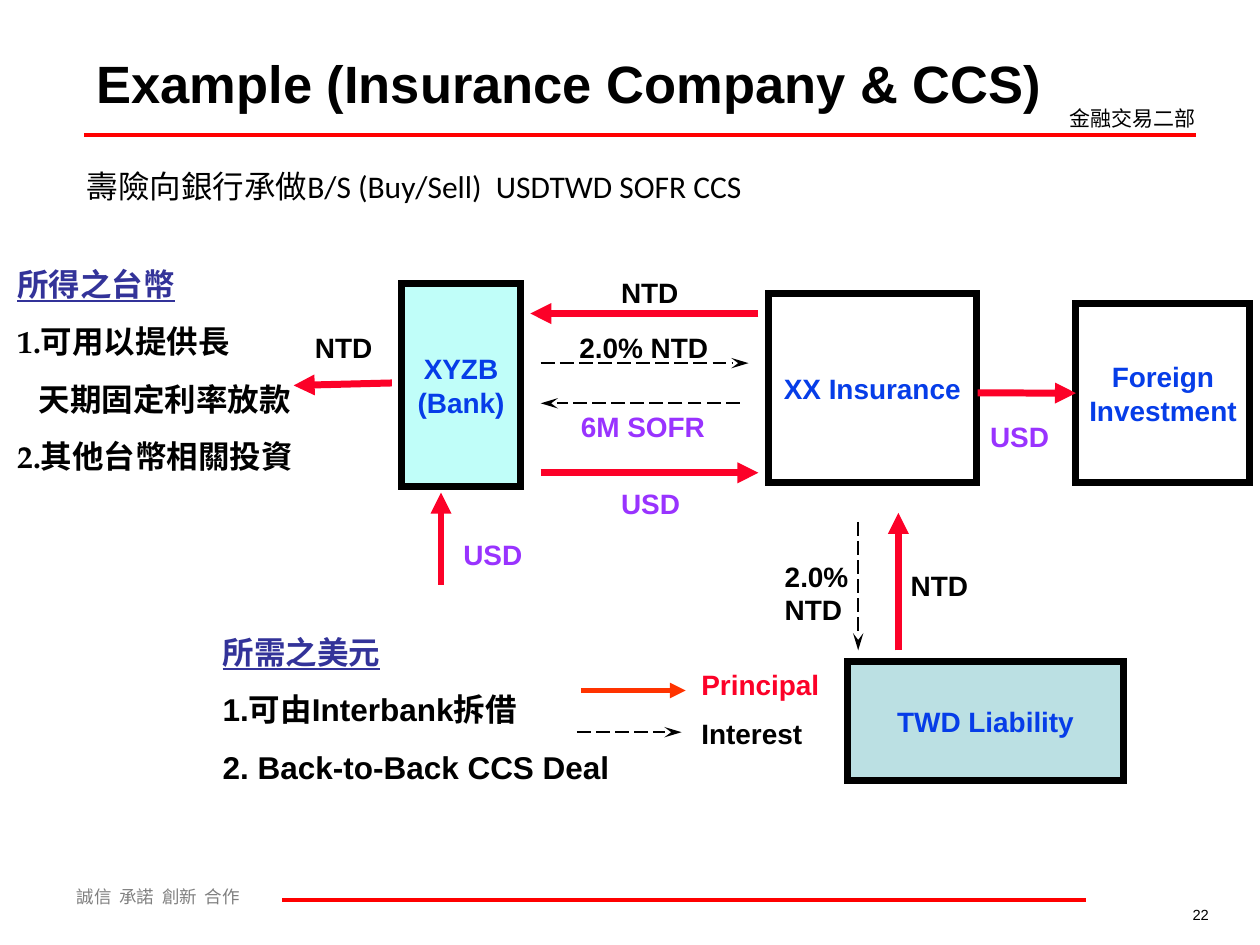
from dataclasses import dataclass
from typing import Optional

from lxml.etree import SubElement
from pptx import Presentation
from pptx.dml.color import RGBColor
from pptx.enum.dml import MSO_LINE
from pptx.enum.shapes import MSO_CONNECTOR as CONN, MSO_SHAPE as SHAPE
from pptx.enum.text import MSO_ANCHOR as ANCHOR, PP_ALIGN as ALIGN
from pptx.oxml.ns import qn
from pptx.util import Cm, Pt

BLACK = RGBColor(0x00, 0x00, 0x00)
WHITE = RGBColor(0xFF, 0xFF, 0xFF)
GRAY = RGBColor(0x80, 0x80, 0x80)
RULE_RED = RGBColor(0xFF, 0x00, 0x00)
PRINCIPAL_RED = RGBColor(0xFC, 0x01, 0x28)
LEGEND_ORANGE = RGBColor(0xFF, 0x33, 0x00)
PURPLE = RGBColor(0x99, 0x33, 0xFF)
BLUE = RGBColor(0x06, 0x3D, 0xE8)
NAVY = RGBColor(0x33, 0x33, 0x99)
CYAN = RGBColor(0xC0, 0xFE, 0xF9)
TEAL = RGBColor(0xBB, 0xE0, 0xE3)

CJK = "Noto Sans CJK SC"


@dataclass
class Style:
    size: float
    name: str = "Arial"
    color: RGBColor = BLACK
    bold: bool = False
    before: float = 0
    align: ALIGN = ALIGN.LEFT


@dataclass
class Text:
    x: float
    y: float
    w: float
    h: float
    text: str
    style: Style
    wrap: bool = True


@dataclass
class Box:
    x: float
    y: float
    w: float
    h: float
    lines: list[str]
    fill: RGBColor


@dataclass
class Line:
    x1: float
    y1: float
    x2: float
    y2: float
    color: RGBColor = PRINCIPAL_RED
    width: float = 4
    head: Optional[str] = "triangle"
    head_len: str = "med"
    dashed: bool = False
    end_box: Optional[str] = None


@dataclass
class Note:
    x: float
    y: float
    w: float
    h: float
    font: str
    heading: str
    items: list[str]
    indented: tuple[int, ...] = ()


def interest(x1: float, y1: float, x2: float, y2: float) -> Line:
    return Line(x1, y1, x2, y2, BLACK, 1, "stealth", "lg", True)


def label(x: float, y: float, w: float, text: str, color: RGBColor = BLACK, h: float = 0.94) -> Text:
    return Text(x, y, w, h, text, Style(16, color=color, bold=True, before=10))


def style_paragraph(p, st: Style) -> None:
    p.alignment = st.align
    p.space_before = Pt(st.before)
    f = p.font
    f.size, f.name, f.bold = Pt(st.size), st.name, st.bold
    f.color.rgb = st.color
    SubElement(p._p.pPr.find(qn("a:defRPr")), qn("a:ea")).set("typeface", CJK)


def add_lines(tf, lines: list[str], st: Style) -> None:
    for i, line in enumerate(lines):
        p = tf.add_paragraph() if i else tf.paragraphs[0]
        p.add_run().text = line
        style_paragraph(p, st)


def add_text(s, t: Text) -> None:
    tf = s.shapes.add_textbox(Cm(t.x), Cm(t.y), Cm(t.w), Cm(t.h)).text_frame
    tf.word_wrap = t.wrap
    add_lines(tf, [t.text], t.style)


def add_box(s, b: Box):
    sp = s.shapes.add_shape(SHAPE.RECTANGLE, Cm(b.x), Cm(b.y), Cm(b.w), Cm(b.h))
    sp.shadow.inherit = False
    sp.fill.solid()
    sp.fill.fore_color.rgb = b.fill
    sp.line.color.rgb = BLACK
    sp.line.width = Pt(4)
    SubElement(sp.line._get_or_add_ln(), qn("a:miter")).set("lim", "800000")
    tf = sp.text_frame
    tf.word_wrap = False
    tf.vertical_anchor = ANCHOR.MIDDLE
    add_lines(tf, b.lines, Style(16, color=BLUE, bold=True, align=ALIGN.CENTER))
    return sp


def add_line(s, ln: Line, boxes: dict) -> None:
    c = s.shapes.add_connector(CONN.STRAIGHT, Cm(ln.x1), Cm(ln.y1), Cm(ln.x2), Cm(ln.y2))
    if ln.end_box:
        c.end_connect(boxes[ln.end_box], 1)
    c.line.color.rgb = ln.color
    c.line.width = Pt(ln.width)
    if ln.dashed:
        c.line.dash_style = MSO_LINE.LONG_DASH
    if ln.head:
        tail = SubElement(c.line._get_or_add_ln(), qn("a:tailEnd"))
        tail.set("type", ln.head)
        tail.set("len", ln.head_len)
    SubElement(c._element.spPr, qn("a:effectLst"))


def add_note(s, n: Note) -> None:
    """Underlined heading followed by numbered lines."""
    tf = s.shapes.add_textbox(Cm(n.x), Cm(n.y), Cm(n.w), Cm(n.h)).text_frame
    tf.word_wrap = False
    tf.vertical_anchor = ANCHOR.MIDDLE
    add_lines(tf, [n.heading, *n.items], Style(18, n.font, bold=True, before=11.2))
    heading = tf.paragraphs[0].font
    heading.color.rgb = NAVY
    heading.underline = True
    for i in n.indented:
        tf.paragraphs[i]._p.pPr.set("marL", str(Cm(0.43)))


BOXES = {
    "bank": Box(8.1, 5.72, 2.39, 4.09, ["XYZB", "(Bank)"], CYAN),
    "insurer": Box(15.49, 5.92, 4.19, 3.81, ["XX Insurance"], WHITE),
    "liability": Box(17.09, 13.34, 5.56, 2.39, ["TWD Liability"], TEAL),
    "investment": Box(21.69, 6.12, 3.51, 3.61, ["Foreign", "Investment"], WHITE),
}
LINES = [
    Line(1.7, 2.72, 24.1, 2.72, RULE_RED, 2.25, None),
    Line(5.69, 18.14, 21.89, 18.14, RULE_RED, 2.25, None),
    Line(18.11, 13.11, 18.11, 10.34),
    interest(17.3, 10.52, 17.3, 13.11),
    Line(15.29, 6.32, 10.69, 6.32),
    interest(10.9, 7.32, 15.09, 7.32),
    interest(14.91, 8.13, 10.9, 8.13),
    Line(10.9, 9.53, 15.29, 9.53),
    Line(19.71, 7.92, 21.69, 7.92, end_box="investment"),
    Line(7.9, 7.72, 5.92, 7.77),
    Line(8.89, 11.79, 8.89, 9.93),
    Line(11.71, 13.92, 13.82, 13.92, LEGEND_ORANGE, 3),
    interest(11.63, 14.76, 13.74, 14.76),
]
TEXTS = [
    Text(1.3, 17.73, 6.4, 0.69, "誠信  承諾  創新  合作", Style(10, CJK, GRAY, before=6.2)),
    Text(21.31, 2.01, 3.2, 0.76, "金融交易二部", Style(12, CJK, before=7.5)),
    Text(21.11, 18.14, 3.51, 0.61, "22", Style(8.4, align=ALIGN.RIGHT)),
    Text(1.7, 0.91, 19.56, 1.52, "Example (Insurance Company & CCS)", Style(30, bold=True), False),
    Text(1.5, 3.25, 17.4, 1.02, "壽險向銀行承做B/S (Buy/Sell)  USDTWD SOFR CCS", Style(18, "Calibri")),
    label(12.27, 5.44, 2.11, "NTD"),
    label(6.1, 6.53, 2.11, "NTD"),
    label(18.11, 11.33, 2.11, "NTD"),
    label(12.27, 9.68, 1.9, "USD", PURPLE),
    label(19.71, 8.33, 1.9, "USD", PURPLE),
    label(9.09, 10.72, 2.18, "USD", PURPLE),
    label(15.57, 11.15, 2.34, "2.0% NTD", h=1.6),
    label(11.43, 6.53, 3.81, "2.0% NTD"),
    label(11.46, 8.13, 3.23, "6M SOFR", PURPLE),
    label(13.89, 13.34, 4.01, "Principal", PRINCIPAL_RED),
    label(13.89, 14.33, 3.2, "Interest"),
]
NOTES = [
    Note(0.1, 4.6, 6.6, 5.72, "TeX Gyre Pagella", "所得之台幣",
         ["1.可用以提供長", "天期固定利率放款", "2.其他台幣相關投資"], (2,)),
    Note(4.24, 11.86, 9.09, 4.88, "Arial", "所需之美元",
         ["1.可由Interbank拆借", "2. Back-to-Back CCS Deal"]),
]


def main() -> None:
    prs = Presentation()
    prs.slide_width, prs.slide_height = Cm(25.4), Cm(19.05)
    s = prs.slides.add_slide(prs.slide_layouts[6])
    boxes = {key: add_box(s, b) for key, b in BOXES.items()}
    for ln in LINES:
        add_line(s, ln, boxes)
    for t in TEXTS:
        add_text(s, t)
    for n in NOTES:
        add_note(s, n)
    prs.save("out.pptx")


if __name__ == "__main__":
    main()
